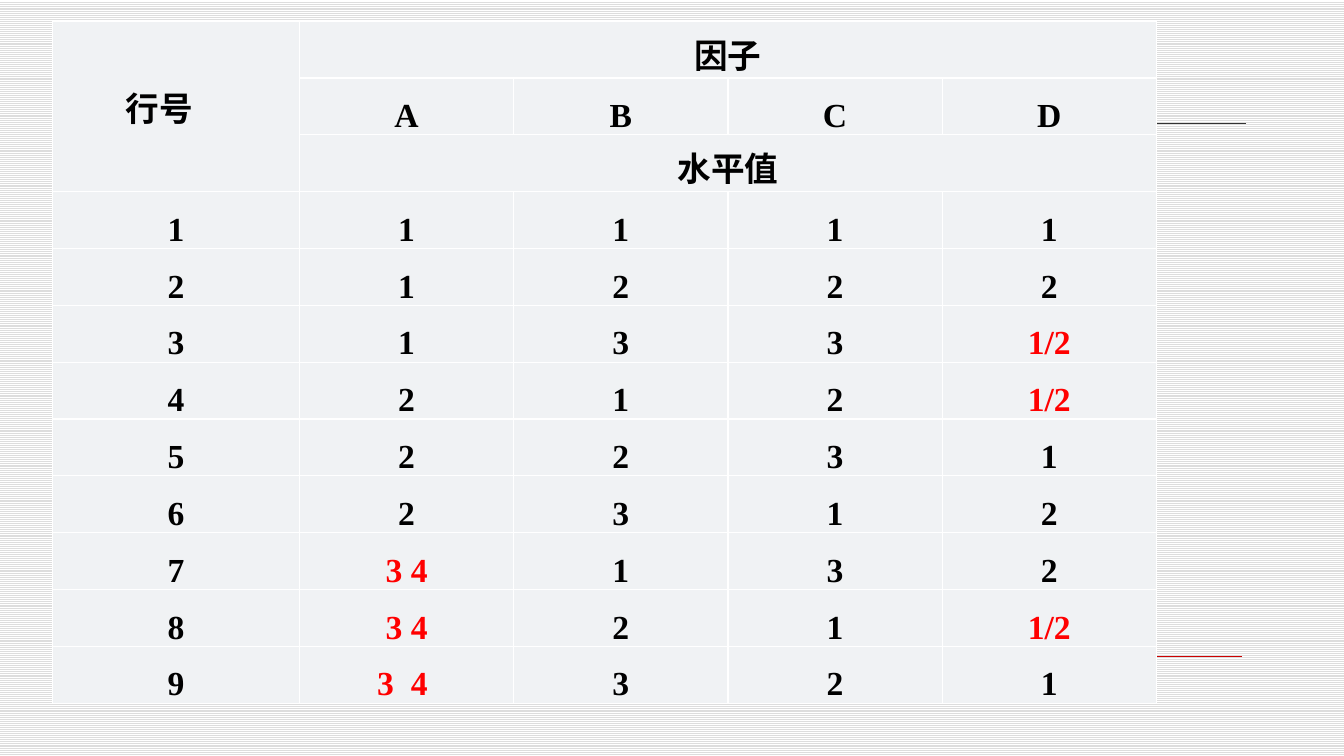
from dataclasses import dataclass
from typing import Any

from lxml.etree import SubElement
from pptx import Presentation
from pptx.dml.color import RGBColor
from pptx.enum.dml import MSO_PATTERN
from pptx.enum.shapes import MSO_CONNECTOR
from pptx.enum.text import MSO_ANCHOR, PP_ALIGN
from pptx.oxml import parse_xml
from pptx.oxml.ns import nsdecls, qn
from pptx.util import Inches, Pt

HUES = {"stripe": "DDDDDD", "white": "FFFFFF", "cell": "F0F2F4", "ink": "000000",
        "red": "FF0000", "rule": "CC0000", "dark": "333333"}
FONT = {"name": "Times New Roman", "size": Pt(24), "bold": True}
CELL = {"margin_left": Inches(0.01), "margin_right": Inches(0.01),
        "margin_top": Inches(0.01), "margin_bottom": 0,
        "vertical_anchor": MSO_ANCHOR.BOTTOM}
FLAGS = {"first_row": False, "horz_banding": False}


@dataclass
class Entry:
    """Text of one table cell, with its span and marks."""
    text: str
    hue: str = "ink"
    rows: int = 1
    cols: int = 1
    start: int = 0


HALF = Entry("1/2", "red")
FOUR = Entry("4", "red", start=3)
LAST = Entry("3  4 ", "red")
HEAD = {
    (0, 0): Entry("行号　", rows=3),
    (0, 1): Entry("因子", cols=4),
    **{(1, col): Entry(name) for col, name in enumerate("ABCD", 1)},
    (2, 1): Entry("水平值", cols=4),
}
RUNS = [
    (1, 1, 1, 1), (1, 2, 2, 2), (1, 3, 3, HALF),
    (2, 1, 2, HALF), (2, 2, 3, 1), (2, 3, 1, 2),
    (FOUR, 1, 3, 2), (FOUR, 2, 1, HALF), (LAST, 3, 2, 1),
]


def tint(name: str) -> RGBColor:
    """Return a named colour."""
    return RGBColor.from_string(HUES[name])


def apply(item: Any, form: dict[str, Any]) -> None:
    """Set each format value on an object."""
    for key, value in form.items():
        setattr(item, key, value)


def stroke(line: Any, hue: str, width: float) -> None:
    """Colour a line and set its width in points."""
    line.color.rgb = tint(hue)
    line.width = Pt(width)


def draw_rules(slide: Any) -> None:
    """Draw the upper bar with its line, and the lower line."""
    left, top, base = Inches(0.76), Inches(1.23), Inches(1.35)
    mid, right = Inches(7.55), Inches(12.36)
    pen = slide.shapes.build_freeform(left, top)
    pen.add_line_segments([(mid, top), (mid, base), (left, base)])
    pen.move_to(left, top)
    pen.add_line_segments([(right, top)], close=False)
    bar = pen.convert_to_shape()
    bar.shadow.inherit = False
    bar.fill.solid()
    bar.fill.fore_color.rgb = tint("rule")
    stroke(bar.line, "dark", 0.75)
    low = slide.shapes.add_connector(MSO_CONNECTOR.STRAIGHT, left, Inches(6.51),
                                     Inches(12.32), Inches(6.51))
    stroke(low.line, "rule", 0.25)
    SubElement(low._element.spPr, qn("a:effectLst"))


def style(cell: Any) -> None:
    """Fill a cell and give it thin white borders."""
    apply(cell, CELL)
    cell.fill.solid()
    cell.fill.fore_color.rgb = tint("cell")
    for spot, side in enumerate("LRTB"):
        edge = (f'<a:ln{side} {nsdecls("a")} w="{Pt(1)}"><a:solidFill>'
                f'<a:srgbClr val="{HUES["white"]}"/></a:solidFill></a:ln{side}>')
        cell._tc.tcPr.insert(spot, parse_xml(edge))


def write(table: Any, row: int, col: int, entry: Entry) -> None:
    """Write an entry into its cell and merge the cells it spans."""
    cell = table.cell(row, col)
    if entry.rows > 1 or entry.cols > 1:
        cell.merge(table.cell(row + entry.rows - 1, col + entry.cols - 1))
    if entry.rows > 1:
        cell.vertical_anchor = MSO_ANCHOR.MIDDLE
    para = cell.text_frame.paragraphs[0]
    para.alignment = PP_ALIGN.CENTER
    run = para.add_run()
    run.text = entry.text
    apply(run.font, FONT)
    run.font.color.rgb = tint(entry.hue)
    if entry.start:
        props = para._p.get_or_add_pPr()
        props.set("marL", str(Inches(0.25)))
        props.set("indent", str(-Inches(0.25)))
        SubElement(props, qn("a:buAutoNum"), type="arabicPlain", startAt=str(entry.start))


def draw_table(slide: Any) -> None:
    """Draw the table of runs and factor levels."""
    wide, tall, first = Inches(10.95), Inches(6.77), Inches(2.45)
    count = 3 + len(RUNS)
    table = slide.shapes.add_table(count, 5, Inches(0.52), Inches(0.21), wide, tall).table
    apply(table, FLAGS)
    for col, part in enumerate(table.columns):
        part.width = (wide - first) // 4 if col else first
    for part in table.rows:
        part.height = tall // count
    for cell in table.iter_cells():
        style(cell)
    for (row, col), entry in HEAD.items():
        write(table, row, col, entry)
    for num, levels in enumerate(RUNS, 1):
        for col, item in enumerate((num, *levels)):
            entry = item if isinstance(item, Entry) else Entry(str(item))
            write(table, num + 2, col, entry)


def main() -> None:
    """Build and save the slide."""
    deck = Presentation()
    apply(deck, {"slide_width": Inches(13.33), "slide_height": Inches(7.5)})
    slide = deck.slides.add_slide(deck.slide_layouts[6])
    fill = slide.background.fill
    fill.patterned()
    fill.pattern = MSO_PATTERN.LIGHT_HORIZONTAL
    fill.fore_color.rgb = tint("stripe")
    fill.back_color.rgb = tint("white")
    draw_rules(slide)
    draw_table(slide)
    deck.save("out.pptx")


if __name__ == "__main__":
    main()
